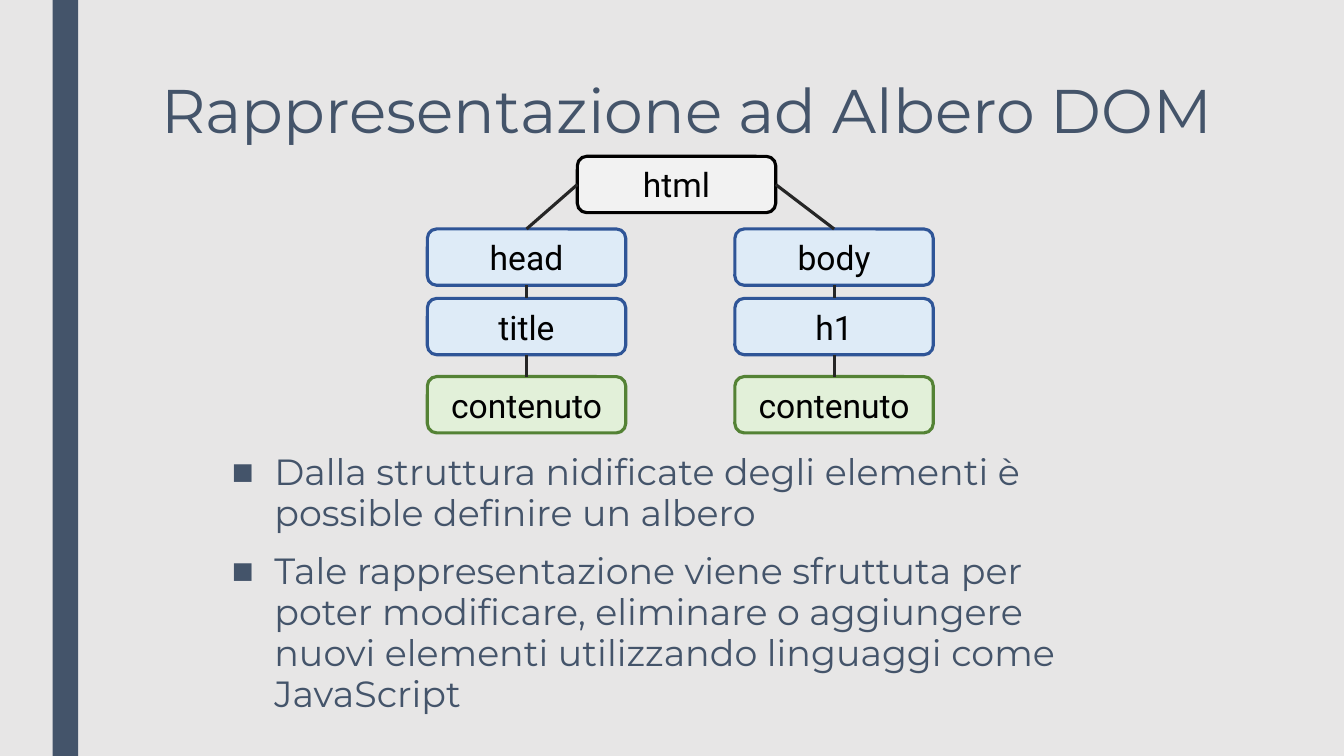
from lxml import etree
from pptx import Presentation
from pptx.dml.color import RGBColor
from pptx.enum.shapes import MSO_CONNECTOR, MSO_SHAPE
from pptx.enum.text import MSO_ANCHOR, MSO_AUTO_SIZE, PP_ALIGN
from pptx.oxml.ns import qn
from pptx.util import Cm, Pt

TITLE = "Rappresentazione ad Albero DOM"
POINTS = [
    "Dalla struttura nidificate degli elementi è possible definire un albero",
    "Tale rappresentazione viene sfruttuta per poter modificare, eliminare "
    "o aggiungere nuovi elementi utilizzando linguaggi come JavaScript",
]
ROOT = "html"
BRANCHES = [["head", "title", "contenuto"], ["body", "h1", "contenuto"]]

# Fill and outline of each kind of node
ROOT_STYLE = ("F2F2F2", "000000")
TAG_STYLE = ("DEEBF7", "2F5597")
CONTENT_STYLE = ("E2F0D9", "548235")
LEVEL_STYLES = [TAG_STYLE, TAG_STYLE, CONTENT_STYLE]

INK, PAPER, EDGE = "44546A", "E7E6E6", "262626"
NODE_W, NODE_H = 5, 1.42
ROOT_AT = (14.55, 3.94)
BRANCH_LEFTS = [10.77, 18.52]
LEVEL_TOPS = [5.77, 7.52, 9.49]
HANG = Cm(1.07)
TOP, LEFT, BOTTOM, RIGHT = range(4)  # connection sites of a node


def rgb(code):
    return RGBColor.from_string(code)


def style_font(font, name, size, color):
    font.name, font.size = name, Pt(size)
    font.color.rgb = rgb(color)


def place(holder, left, top, width, height):
    """Move a placeholder and let its text start at the top at full size."""
    holder.left, holder.top = Cm(left), Cm(top)
    holder.width, holder.height = Cm(width), Cm(height)
    frame = holder.text_frame
    frame.word_wrap = True
    frame.auto_size = MSO_AUTO_SIZE.NONE
    frame.vertical_anchor = MSO_ANCHOR.TOP
    return frame


def add_square_bullet(paragraph):
    props = paragraph._p.get_or_add_pPr()
    props.set("marL", str(HANG))
    props.set("indent", str(-HANG))
    etree.SubElement(props, qn("a:buFont")).set("typeface", "Arial")
    etree.SubElement(props, qn("a:buChar")).set("char", "■")


def add_node(slide, label, left, top, style):
    node = slide.shapes.add_shape(
        MSO_SHAPE.ROUNDED_RECTANGLE, Cm(left), Cm(top), Cm(NODE_W), Cm(NODE_H))
    fill, outline = style
    node.shadow.inherit = False
    node.fill.solid()
    node.fill.fore_color.rgb = rgb(fill)
    node.line.color.rgb = rgb(outline)
    node.line.width = Pt(2.25)
    node.text_frame.text = label
    node.text_frame.vertical_anchor = MSO_ANCHOR.MIDDLE
    paragraph = node.text_frame.paragraphs[0]
    paragraph.alignment = PP_ALIGN.CENTER
    style_font(paragraph.runs[0].font, "Roboto", 24, "000000")
    return node


def link(slide, parent, parent_site, child):
    edge = slide.shapes.add_connector(MSO_CONNECTOR.STRAIGHT, 0, 0, 0, 0)
    edge.begin_connect(parent, parent_site)
    edge.end_connect(child, TOP)
    edge.line.color.rgb = rgb(EDGE)
    edge.line.width = Pt(2.25)
    etree.SubElement(edge._element.spPr, qn("a:effectLst"))


def add_tree(slide):
    root = add_node(slide, ROOT, *ROOT_AT, ROOT_STYLE)
    for labels, left, side in zip(BRANCHES, BRANCH_LEFTS, (LEFT, RIGHT)):
        parent, site = root, side
        for label, top, style in zip(labels, LEVEL_TOPS, LEVEL_STYLES):
            child = add_node(slide, label, left, top, style)
            link(slide, parent, site, child)
            parent, site = child, BOTTOM


def main():
    deck = Presentation()
    deck.slide_width, deck.slide_height = Cm(33.87), Cm(19.05)
    slide = deck.slides.add_slide(deck.slide_layouts[1])
    slide.background.fill.solid()
    slide.background.fill.fore_color.rgb = rgb(PAPER)

    side_bar = slide.shapes.add_shape(
        MSO_SHAPE.RECTANGLE, Cm(1.33), 0, Cm(0.64), deck.slide_height)
    side_bar.shadow.inherit = False
    side_bar.fill.solid()
    side_bar.fill.fore_color.rgb = rgb(INK)
    side_bar.line.fill.background()

    heading = place(slide.shapes.title, 3.81, 1.9, 29.13, 4.11)
    heading.text = TITLE
    heading.paragraphs[0].alignment = PP_ALIGN.LEFT
    heading.paragraphs[0].line_spacing = 0.89
    style_font(heading.paragraphs[0].runs[0].font, "Montserrat", 44, INK)

    points = place(slide.placeholders[1], 5.59, 11.28, 23.11, 5.92)
    points.text = "\n".join(POINTS)
    for index, paragraph in enumerate(points.paragraphs):
        add_square_bullet(paragraph)
        paragraph.line_spacing = 0.94
        paragraph.space_before = Pt(10 if index else 0)
        paragraph.space_after = Pt(2)
        style_font(paragraph.runs[0].font, "Montserrat", 26, INK)

    add_tree(slide)
    deck.save("out.pptx")


if __name__ == "__main__":
    main()
